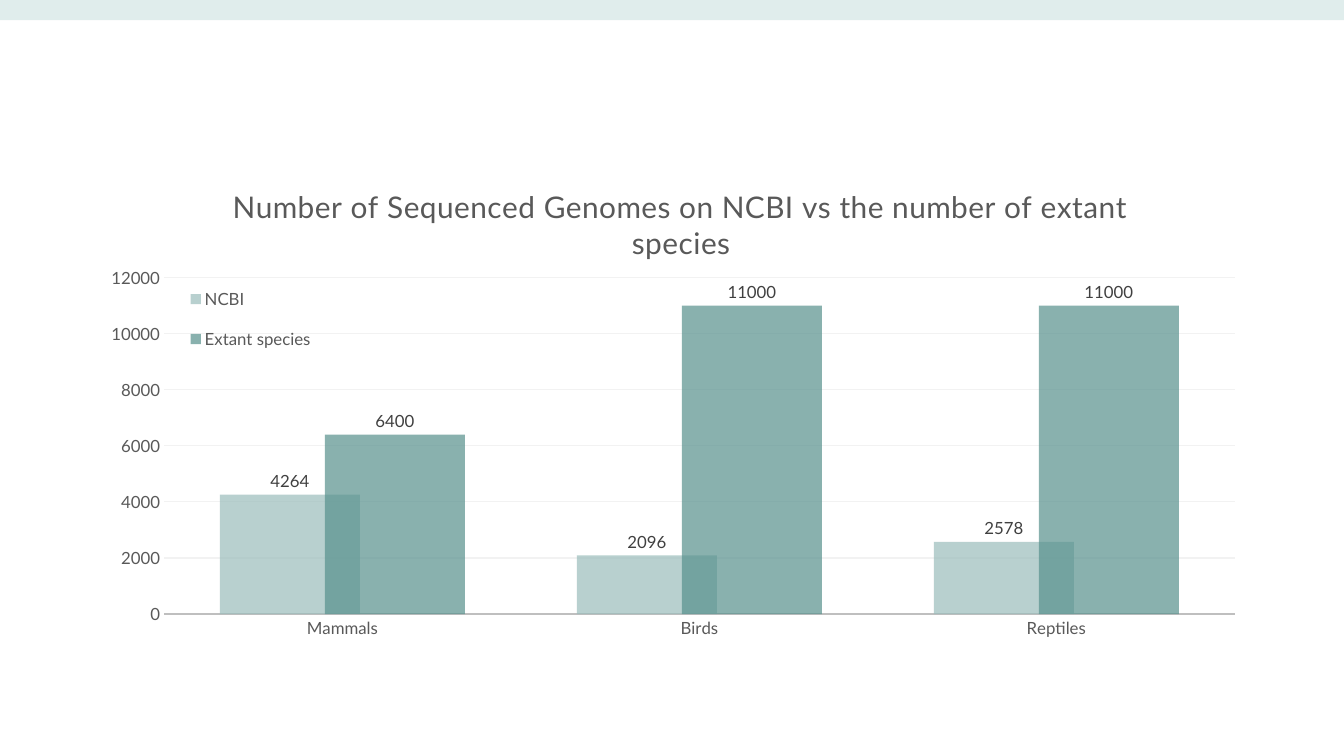
from dataclasses import dataclass

from lxml import etree
from pptx import Presentation, util as u
from pptx.chart.data import CategoryChartData
from pptx.dml.color import RGBColor
from pptx.enum import chart as ch, shapes
from pptx.oxml import ns

FONT = "Lato"
BAND = RGBColor(0xE0, 0xED, 0xEC)
PALE_TEAL = RGBColor(0x9A, 0xBD, 0xBB)
TEAL = RGBColor(0x57, 0x91, 0x8D)
GREY = RGBColor(0x59, 0x59, 0x59)
DARK = RGBColor(0x40, 0x40, 0x40)
AXIS = RGBColor(0xBF, 0xBF, 0xBF)
GRID = RGBColor(0xF2, 0xF2, 0xF2)
TITLE = "Number of Sequenced Genomes on NCBI vs the number of extant species"
GROUPS = ("Mammals", "Birds", "Reptiles")


@dataclass(frozen=True)
class Bars:
    name: str
    values: tuple[int, ...]
    color: RGBColor


SERIES = (
    Bars("NCBI", (4264, 2096, 2578), PALE_TEAL),
    Bars("Extant species", (6400, 11000, 11000), TEAL),
)


def style_font(font, size: float, color: RGBColor) -> None:
    font.name = FONT
    font.size = u.Pt(size)
    font.bold = False
    font.color.rgb = color


def style_line(line, color: RGBColor, width: float) -> None:
    line.color.rgb = color
    line.width = u.Pt(width)


def place(element, index: int, inner: bool = False, **position: float) -> None:
    for old in element.findall(ns.qn("c:layout")):
        element.remove(old)
    layout = etree.Element(ns.qn("c:layout"))
    manual = etree.SubElement(layout, ns.qn("c:manualLayout"))
    settings = {"xMode": "edge", "yMode": "edge", **position}
    if inner:
        settings = {"layoutTarget": "inner", **settings}
    for tag, value in settings.items():
        etree.SubElement(manual, ns.qn(f"c:{tag}")).set("val", str(value))
    element.insert(index, layout)


def style_bars(series, bars: Bars) -> None:
    series.invert_if_negative = False
    fill = series.format.fill
    fill.solid()
    fill.fore_color.rgb = bars.color
    color = series.format._element.find(".//" + ns.qn("a:srgbClr")) if hasattr(
        series.format, "_element") else series._element.find(".//" + ns.qn("a:srgbClr"))
    etree.SubElement(color, ns.qn("a:alpha")).set("val", "70000")
    labels = series.data_labels
    labels.show_value = True
    labels.position = ch.XL_LABEL_POSITION.OUTSIDE_END
    style_font(labels.font, 12, DARK)


def style_title(chart) -> None:
    chart.has_title = True
    title = chart.chart_title
    p = title.text_frame.paragraphs[0]
    p.text = TITLE
    style_font(p.font, 21.3, GREY)
    style_font(p.runs[0].font, 21.3, GREY)
    p.runs[0].font._element.set("spc", "50")
    title.include_in_layout = False
    place(title._element, 1, x=0.12, y=0.04)


def style_axes(chart) -> None:
    for axis in (chart.category_axis, chart.value_axis):
        axis.major_tick_mark = ch.XL_TICK_MARK.NONE
        axis.minor_tick_mark = ch.XL_TICK_MARK.NONE
        style_font(axis.tick_labels.font, 12, GREY)
    style_line(chart.category_axis.format.line, AXIS, 1.25)
    values = chart.value_axis
    values.minimum_scale, values.maximum_scale, values.major_unit = 0, 12000, 2000
    values.format.line.fill.background()
    style_line(values.major_gridlines.format.line, GRID, 0.75)


def style_legend(chart) -> None:
    chart.has_legend = True
    legend = chart.legend
    legend.position = ch.XL_LEGEND_POSITION.BOTTOM
    legend.include_in_layout = False
    style_font(legend.font, 12, GREY)
    place(legend._element, 1, x=0.08, y=0.21, w=0.12, h=0.19)


def add_genome_chart(s) -> None:
    data = CategoryChartData()
    data.categories = GROUPS
    for bars in SERIES:
        data.add_series(bars.name, bars.values)
    chart = s.shapes.add_chart(
        ch.XL_CHART_TYPE.COLUMN_CLUSTERED,
        u.Inches(0.86), u.Inches(1.58), u.Inches(11.62), u.Inches(5.2), data,
    ).chart
    chart.font.name = FONT
    chart.font.size = u.Pt(10)
    plot = chart.plots[0]
    plot.vary_by_categories = False
    plot.gap_width = 80
    plot.overlap = 25
    for series, bars in zip(plot.series, SERIES):
        style_bars(series, bars)
    style_title(chart)
    style_axes(chart)
    style_legend(chart)
    plot_area = chart._chartSpace.find(".//" + ns.qn("c:plotArea"))
    place(plot_area, 0, inner=True, x=0.066, y=0.226, w=0.914, h=0.642)


def add_top_band(s, width: int) -> None:
    sp = s.shapes.add_shape(shapes.MSO_SHAPE.RECTANGLE, 0, 0, width, u.Inches(0.2))
    sp.shadow.inherit = False
    sp.fill.solid()
    sp.fill.fore_color.rgb = BAND
    sp.line.fill.background()


def main() -> None:
    prs = Presentation()
    prs.slide_width = u.Inches(13.33)
    prs.slide_height = u.Inches(7.5)
    s = prs.slides.add_slide(prs.slide_layouts[6])
    add_top_band(s, prs.slide_width)
    add_genome_chart(s)
    prs.save("out.pptx")


if __name__ == "__main__":
    main()
